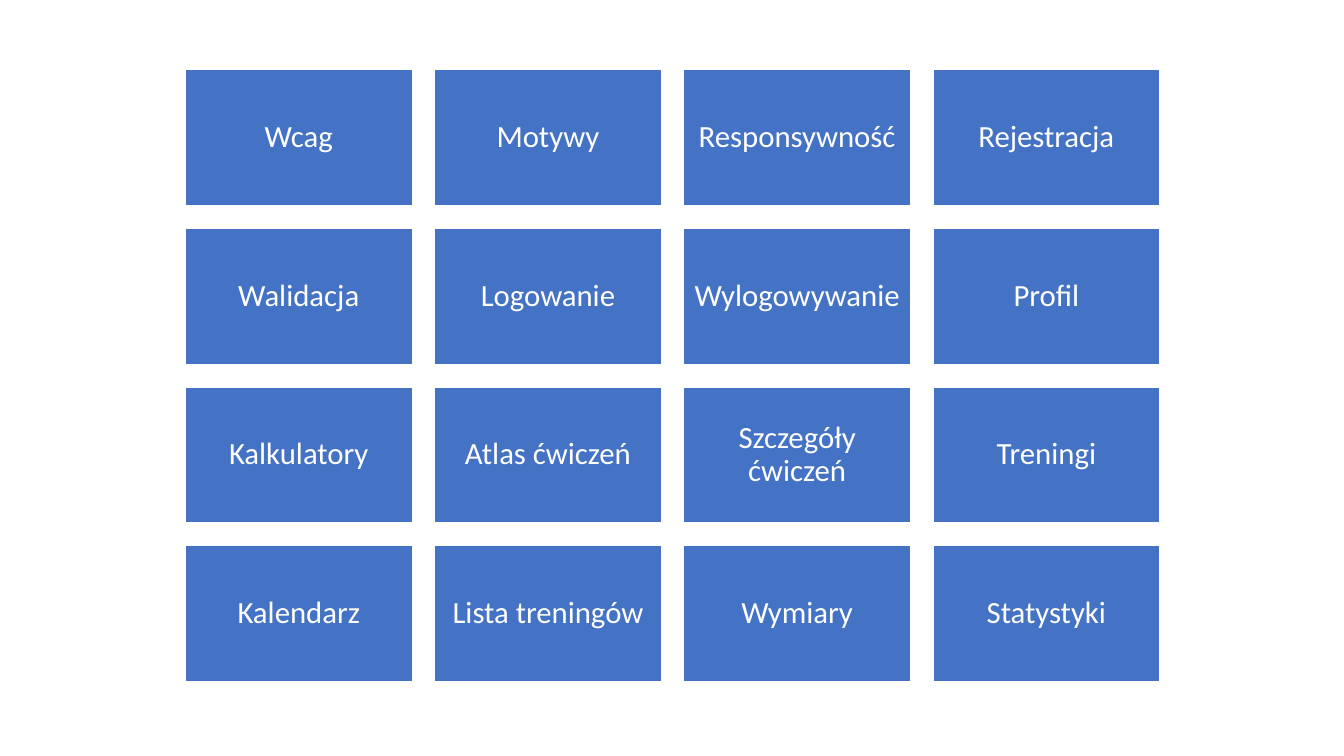
import pptx
import pptx.dml.color
import pptx.enum.shapes
import pptx.enum.text
import pptx.util

Cm = pptx.util.Cm
Pt = pptx.util.Pt
BLUE = pptx.dml.color.RGBColor(0x44, 0x72, 0xC4)
WHITE = pptx.dml.color.RGBColor(0xFF, 0xFF, 0xFF)

LEFT, TOP = 4.67, 1.75
WIDTH, HEIGHT = 5.72, 3.43
STEP_X, STEP_Y = 6.28, 4
INSET = Cm(0.23)

topics = [
    ["Wcag", "Motywy", "Responsywność", "Rejestracja"],
    ["Walidacja", "Logowanie", "Wylogowywanie", "Profil"],
    ["Kalkulatory", "Atlas ćwiczeń", "Szczegóły ćwiczeń", "Treningi"],
    ["Kalendarz", "Lista treningów", "Wymiary", "Statystyki"],
]

deck = pptx.Presentation()
deck.slide_width = Cm(33.87)
deck.slide_height = Cm(19.05)
slide = deck.slides.add_slide(deck.slide_layouts[6])

for row, names in enumerate(topics):
    for col, name in enumerate(names):
        tile = slide.shapes.add_shape(
            pptx.enum.shapes.MSO_SHAPE.RECTANGLE,
            Cm(LEFT + col * STEP_X), Cm(TOP + row * STEP_Y),
            Cm(WIDTH), Cm(HEIGHT))
        tile.shadow.inherit = False
        tile.fill.solid()
        tile.fill.fore_color.rgb = BLUE
        tile.line.color.rgb = WHITE
        tile.line.width = Pt(1)

        frame = tile.text_frame
        frame.word_wrap = True
        frame.vertical_anchor = pptx.enum.text.MSO_ANCHOR.MIDDLE
        frame.margin_left = frame.margin_right = INSET
        frame.margin_top = frame.margin_bottom = INSET

        label = frame.paragraphs[0]
        label.text = name
        label.alignment = pptx.enum.text.PP_ALIGN.CENTER
        label.line_spacing = 0.9
        label.font.name = "Calibri"
        label.font.size = Pt(22)
        label.font.color.rgb = WHITE

deck.save("out.pptx")
